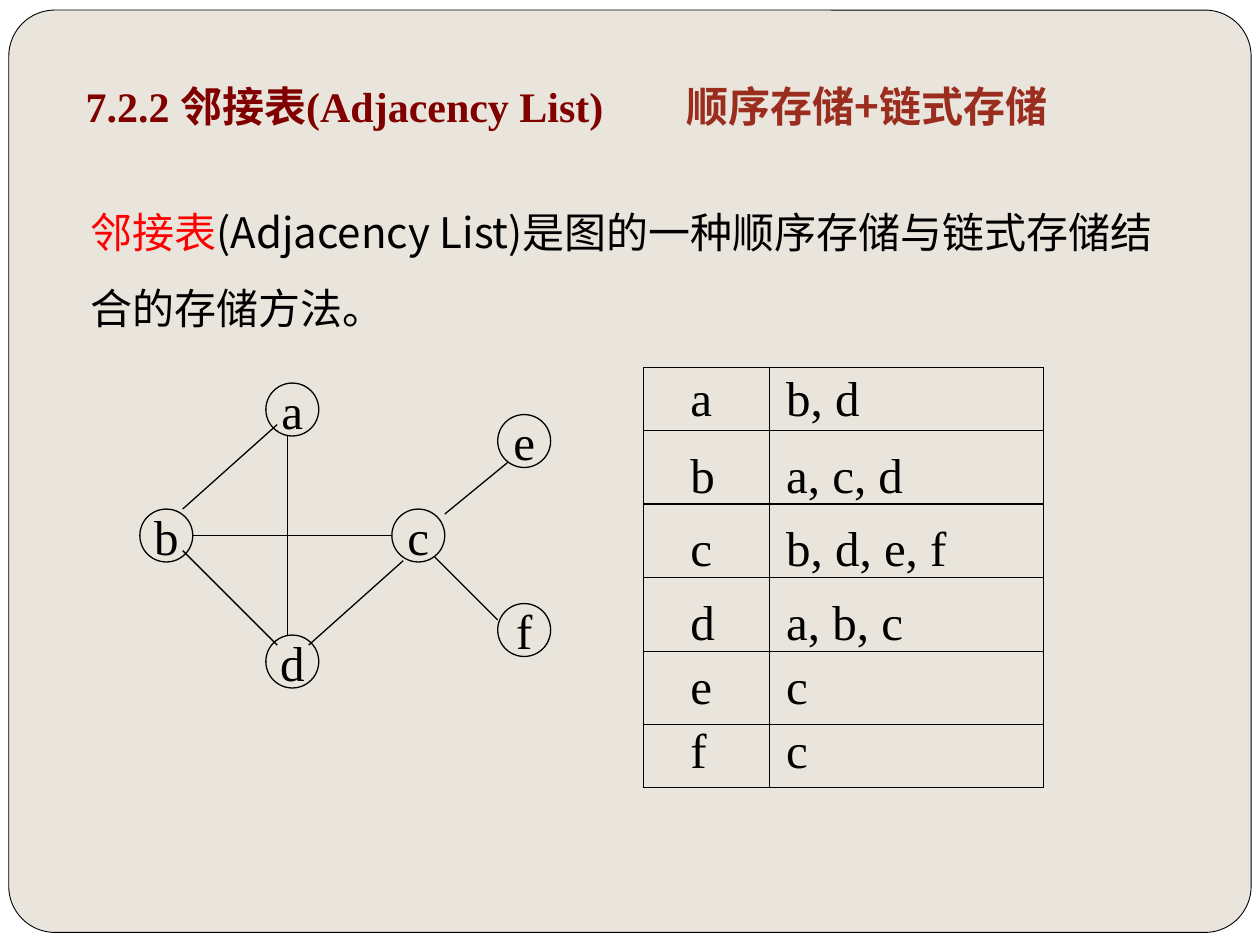
from typing import NamedTuple

from lxml.etree import SubElement
from pptx import Presentation
from pptx.dml.color import RGBColor
from pptx.enum.shapes import MSO_CONNECTOR, MSO_SHAPE
from pptx.enum.text import MSO_ANCHOR, PP_ALIGN
from pptx.oxml.ns import qn
from pptx.util import Emu, Inches, Pt

SERIF = "Times New Roman"
SANS = "Noto Sans CJK SC"
BLACK = "000000"
NODE_SIZE = 0.42
TABLE_WIDTHS = (1.0, 2.17)


class Node(NamedTuple):
    label: str
    left: float
    top: float


class Edge(NamedTuple):
    start: tuple[float, float]
    end: tuple[float, float]


class Row(NamedTuple):
    vertex: str
    neighbours: str
    height: float
    anchor: MSO_ANCHOR


NODES = (
    Node("a", 2.11, 3.04),
    Node("b", 1.11, 4.04),
    Node("c", 3.11, 4.04),
    Node("d", 2.11, 5.04),
    Node("e", 3.95, 3.29),
    Node("f", 3.95, 4.79),
)
EDGES = (
    Edge((1.45, 4.04), (2.2, 3.37)),
    Edge((1.45, 4.37), (2.2, 5.12)),
    Edge((1.53, 4.25), (3.11, 4.25)),
    Edge((2.28, 3.45), (2.28, 5.04)),
    Edge((2.45, 5.12), (3.2, 4.45)),
    Edge((3.53, 4.08), (4.03, 3.67)),
    Edge((3.45, 4.42), (3.95, 4.92)),
)
ROWS = (
    Row("a", "b, d", 0.5, MSO_ANCHOR.MIDDLE),
    Row("b", "a, c, d", 0.58, MSO_ANCHOR.BOTTOM),
    Row("c", "b, d, e, f", 0.58, MSO_ANCHOR.BOTTOM),
    Row("d", "a, b, c", 0.59, MSO_ANCHOR.BOTTOM),
    Row("e", "c", 0.58, MSO_ANCHOR.MIDDLE),
    Row("f", "c", 0.5, MSO_ANCHOR.TOP),
)


def color(value: str) -> RGBColor:
    """Turn a hex string into a colour."""
    return RGBColor.from_string(value)


def apply(target, values: dict) -> None:
    """Set each named attribute of the target."""
    for name, value in values.items():
        setattr(target, name, value)


def add_span(para, text: str, size: float, family: str, ink: str = BLACK, bold: bool = False) -> None:
    """Append a formatted run with its East Asian font."""
    span = para.add_run()
    span.text = text
    apply(span.font, {"size": Pt(size), "name": family, "bold": bold})
    span.font.color.rgb = color(ink)
    SubElement(span.font._element, qn("a:ea"), typeface=SANS)


def outline(shape, width: float) -> None:
    """Give a shape a thin black line."""
    shape.line.color.rgb = color(BLACK)
    shape.line.width = Pt(width)


def add_panel(page) -> None:
    """Place the rounded panel behind everything else."""
    panel = page.shapes.add_shape(
        MSO_SHAPE.ROUNDED_RECTANGLE, Inches(0.07), Inches(0.08), Inches(9.86), Inches(7.32))
    panel.adjustments[0] = 0.05
    panel.shadow.inherit = False
    panel.fill.solid()
    panel.fill.fore_color.rgb = color("E9E5DC")
    outline(panel, 0.5)
    page.shapes._spTree.insert(2, panel._element)


def add_title(page) -> None:
    """Fill the title placeholder, with a tab before its second part."""
    title = page.shapes.title
    apply(title, {"left": Inches(0.58), "top": Inches(0.5), "width": Inches(8.5), "height": Inches(0.67)})
    apply(title.text_frame, {"word_wrap": True, "vertical_anchor": MSO_ANCHOR.MIDDLE})
    para = title.text_frame.paragraphs[0]
    para.alignment = PP_ALIGN.LEFT
    tabs = SubElement(para._p.get_or_add_pPr(), qn("a:tabLst"))
    SubElement(tabs, qn("a:tab"), pos=str(Inches(4.77)), algn="l")
    add_span(para, "7.2.2 邻接表(Adjacency List)\t", 24, SERIF, "800000", True)
    add_span(para, "顺序存储+链式存储", 24, SANS, "9B2D1F", True)


def add_definition(page) -> None:
    """Write the definition under the title."""
    box = page.shapes.add_textbox(Inches(0.62), Inches(1.39), Inches(8.91), Inches(1.3))
    box.text_frame.word_wrap = True
    para = box.text_frame.paragraphs[0]
    para.line_spacing = Pt(43.4)
    add_span(para, "邻接表", 24, SANS, "FF0000")
    add_span(para, "(Adjacency List)是图的一种顺序存储与链式存储结合的存储方法。", 24, SANS)


def add_node(page, node: Node) -> None:
    """Draw one labelled vertex of the graph."""
    circle = page.shapes.add_shape(
        MSO_SHAPE.OVAL, Inches(node.left), Inches(node.top), Inches(NODE_SIZE), Inches(NODE_SIZE))
    circle.shadow.inherit = False
    circle.fill.background()
    outline(circle, 0.75)
    margins = dict.fromkeys(("margin_left", "margin_right", "margin_top", "margin_bottom"), 0)
    apply(circle.text_frame, {"word_wrap": False, "vertical_anchor": MSO_ANCHOR.MIDDLE, **margins})
    para = circle.text_frame.paragraphs[0]
    para.alignment = PP_ALIGN.CENTER
    add_span(para, node.label, 28, SERIF)


def add_edge(page, edge: Edge) -> None:
    """Draw one edge of the graph."""
    points = [Inches(value) for value in edge.start + edge.end]
    line = page.shapes.add_connector(MSO_CONNECTOR.STRAIGHT, *points)
    outline(line, 0.75)
    SubElement(line._element.spPr, qn("a:effectLst"))


def format_cell(cell, text: str, indent: float, anchor: MSO_ANCHOR) -> None:
    """Write a cell with thin borders and no fill."""
    apply(cell, {"margin_left": Inches(indent), "margin_right": 0, "margin_top": 0,
                 "margin_bottom": 0, "vertical_anchor": anchor})
    add_span(cell.text_frame.paragraphs[0], text, 28, SERIF)
    properties = cell._tc.get_or_add_tcPr()
    for side in ("a:lnL", "a:lnR", "a:lnT", "a:lnB"):
        border = SubElement(properties, qn(side), w=str(Pt(0.75)))
        fill = SubElement(border, qn("a:solidFill"))
        SubElement(fill, qn("a:srgbClr"), val=BLACK)
    cell.fill.background()


def add_adjacency_table(page) -> None:
    """Build the table of vertices and their neighbours."""
    height = sum(row.height for row in ROWS)
    frame = page.shapes.add_table(
        len(ROWS), 2, Inches(5.11), Inches(2.92), Inches(sum(TABLE_WIDTHS)), Inches(height))
    table = frame.table
    apply(table, {"first_row": False, "horz_banding": False})
    for column, width in zip(table.columns, TABLE_WIDTHS):
        column.width = Inches(width)
    for index, row in enumerate(ROWS):
        table.rows[index].height = Emu(Inches(row.height))
        format_cell(table.cell(index, 0), row.vertex, 0.37, row.anchor)
        format_cell(table.cell(index, 1), row.neighbours, 0.13, row.anchor)


def main() -> None:
    """Build and save the slide."""
    deck = Presentation()
    apply(deck, {"slide_width": Inches(10), "slide_height": Inches(7.5)})
    page = deck.slides.add_slide(deck.slide_layouts[5])
    add_panel(page)
    add_title(page)
    add_definition(page)
    for node in NODES:
        add_node(page, node)
    for edge in EDGES:
        add_edge(page, edge)
    add_adjacency_table(page)
    deck.save("out.pptx")


if __name__ == "__main__":
    main()
